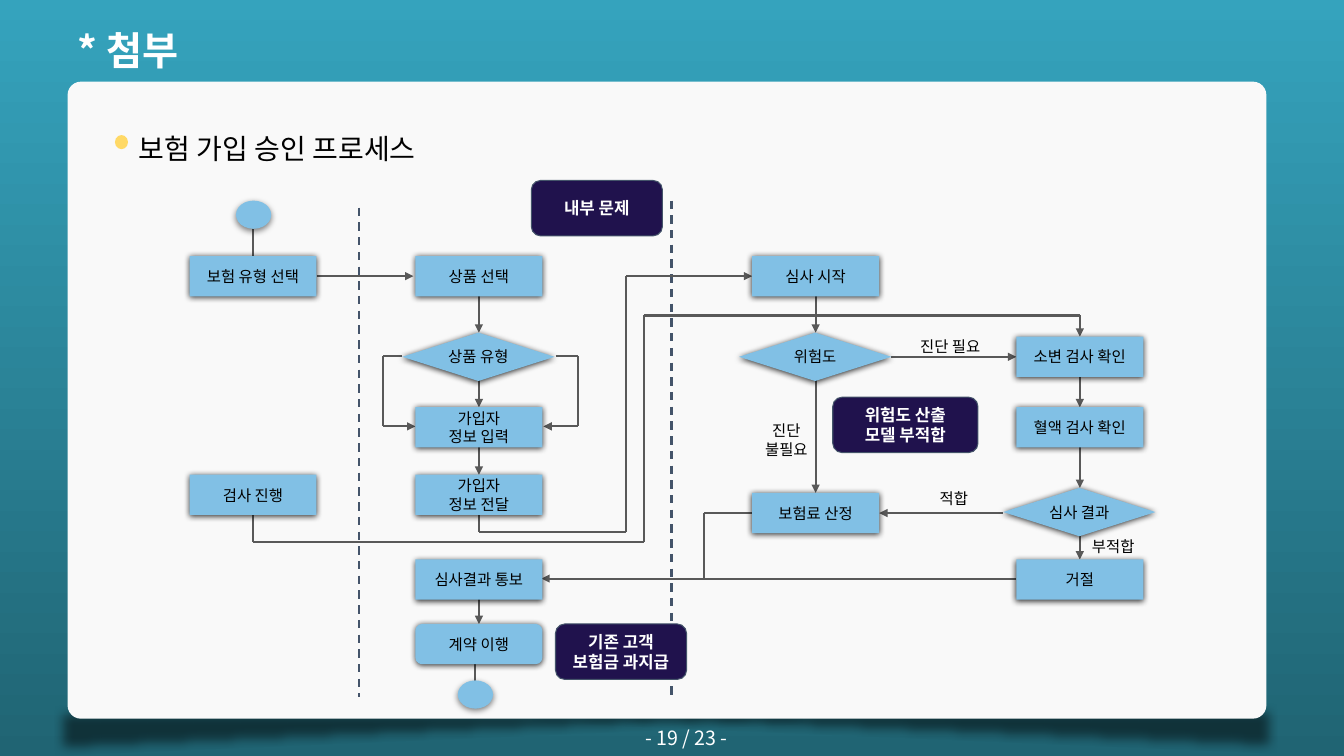
import pptx
import pptx.util
import pptx.dml.color
import pptx.enum.dml
import pptx.enum.shapes
import pptx.enum.text
import pptx.oxml
import pptx.oxml.ns
from lxml import etree

Inches = pptx.util.Inches
Pt = pptx.util.Pt
KIND = pptx.enum.shapes.MSO_SHAPE
ALIGN = pptx.enum.text.PP_ALIGN
ANCHOR = pptx.enum.text.MSO_ANCHOR
qn = pptx.oxml.ns.qn

FONT = "Noto Sans CJK KR"
HUES = {
    "top": "35A3BD", "base": "206473", "panel": "F9F9F9", "dot": "FFD966",
    "node": "81C0E5", "note": "20124D", "edge": "44546A", "wire": "595959",
    "black": "000000", "white": "FFFFFF",
}
NODE_W, NODE_H = 1.26, 0.4
COLS = [0, 2.24, 5.58, 8.2]
MIDS = [col + NODE_W / 2 for col in COLS]


def hue(name):
    return pptx.dml.color.RGBColor.from_string(HUES[name])


def put(item, text, size=11, color="black", bold=False, align=ALIGN.CENTER,
        anchor=ANCHOR.MIDDLE, pad=(0.01, 0.01), space=None):
    frame = item.text_frame
    frame.word_wrap = True
    frame.vertical_anchor = anchor
    frame.margin_left = frame.margin_right = Inches(pad[0])
    frame.margin_top = frame.margin_bottom = Inches(pad[1])
    for i, line in enumerate(text.split("\n")):
        para = frame.add_paragraph() if i else frame.paragraphs[0]
        para.text = line
        para.alignment = align
        para.line_spacing = space
        for run in para.runs:
            font = run.font
            font.size, font.bold, font.name = Pt(size), bold, FONT
            font.color.rgb = hue(color)
            etree.SubElement(font._element, qn("a:ea"), typeface=FONT)


def label(slide, text, x, y, w, h, **style):
    box = slide.shapes.add_textbox(Inches(x), Inches(y), Inches(w), Inches(h))
    put(box, text, **{"anchor": ANCHOR.TOP, "pad": (0, 0), **style})


def shape(slide, kind, x, y, w, h, fill, line=None, round=None):
    item = slide.shapes.add_shape(kind, Inches(x), Inches(y), Inches(w), Inches(h))
    item.shadow.inherit = False
    item.fill.solid()
    item.fill.fore_color.rgb = hue(fill)
    if line:
        item.line.color.rgb = hue(line)
        item.line.width = Pt(0.75)
    else:
        item.line.fill.background()
    if round is not None:
        item.adjustments[0] = round
    return item


def alpha(color, value):
    etree.SubElement(color, qn("a:alpha"), val=str(value * 1000))


def shade(item, value=80, dist=0.8):
    list_ = item._element.spPr.find(qn("a:effectLst"))
    drop = etree.SubElement(list_, qn("a:outerShdw"), blurRad=str(Pt(4.5)),
                            dist=str(Pt(dist)), dir="5400000", rotWithShape="0")
    alpha(etree.SubElement(drop, qn("a:srgbClr"), val=HUES["black"]), value)


def wire(slide, x, y, *points, color="wire", arrow=True, dash=False):
    pairs = list(zip(points, points[1:]))
    for i, (start, end) in enumerate(pairs):
        line = slide.shapes.add_connector(
            pptx.enum.shapes.MSO_CONNECTOR.STRAIGHT,
            Inches(x + start[0]), Inches(y + start[1]),
            Inches(x + end[0]), Inches(y + end[1]))
        line.line.color.rgb = hue(color)
        line.line.width = Pt(1.5)
        if dash:
            line.line.dash_style = pptx.enum.dml.MSO_LINE.DASH
        if arrow and i == len(pairs) - 1:
            etree.SubElement(line.line._get_or_add_ln(), qn("a:tailEnd"), type="triangle")
        etree.SubElement(line._element.spPr, qn("a:effectLst"))


def panel(slide, x, y, w, h):
    for left, top, flips in [(x - 0.02, y + 6.17, ("flipH", "flipV")),
                             (x - 0.13, y + 6.19, ("flipV",))]:
        item = shape(slide, KIND.RIGHT_TRIANGLE, left, top, w + 0.13, 0.5, "black")
        props = item._element.spPr
        for flip in flips:
            props.xfrm.set(flip, "1")
        alpha(props.find(qn("a:solidFill"))[0], 51)
        etree.SubElement(props.find(qn("a:effectLst")), qn("a:softEdge"), rad=str(Pt(7)))
    shape(slide, KIND.ROUNDED_RECTANGLE, x, y, w, h, "panel", round=0.021)


def heading(slide, x, y):
    label(slide, "* 첨부", x, y, 7.52, 0.57, size=28, color="white", bold=True,
          align=ALIGN.LEFT, pad=(0.1, 0.05))
    shape(slide, KIND.OVAL, x + 0.47, y + 1.13, 0.13, 0.14, "dot")
    label(slide, "보험 가입 승인 프로세스", x + 0.61, y + 0.88, 4.68, 0.57, size=20,
          align=ALIGN.LEFT, pad=(0.1, 0.05), space=1.5)


def wires(slide, x, y):
    first, second, third, fourth = MIDS
    for lane, top in [(1.68, 0.27), (4.78, 0.2)]:
        wire(slide, x, y, (lane, top), (lane, 5.12), color="edge", arrow=False, dash=True)
    for mid, top, end in [(second, 1.14, 1.51), (second, 1.97, 2.25), (second, 2.64, 2.92),
                          (second, 4.03, 4.4), (third, 1.14, 1.51), (third, 1.98, 3.1),
                          (fourth, 1.94, 2.25), (fourth, 2.64, 3.05), (fourth, 3.53, 3.76)]:
        wire(slide, x, y, (mid, top), (mid, end))
    for row, start, end in [(0.95, 1.26, 2.22), (1.75, 6.96, 8.2),
                            (3.3, 8.07, 6.84), (3.95, 8.2, 3.49)]:
        wire(slide, x, y, (start, row), (end, row))
    for start, side, end in [(2.11, 1.92, 2.24), (3.63, 3.85, 3.51)]:
        wire(slide, x, y, (start, 1.74), (side, 1.74), (side, 2.44), (end, 2.44))
    wire(slide, x, y, (second, 3.31), (second, 3.49), (4.33, 3.49), (4.33, 0.95), (5.58, 0.95))
    wire(slide, x, y, (first, 3.31), (first, 3.59), (4.51, 3.59), (4.51, 1.34),
         (fourth, 1.34), (fourth, 1.55))
    wire(slide, x, y, (5.58, 3.3), (5.1, 3.3), (5.1, 3.95), arrow=False)
    wire(slide, x, y, (first, 0.48), (first, 0.75), arrow=False)
    wire(slide, x, y, (2.83, 4.74), (2.83, 5.01), arrow=False)


def nodes(slide, x, y):
    for text, col, row in [
            ("보험 유형 선택", 0, 0.75), ("검사 진행", 0, 2.92), ("상품 선택", 1, 0.75),
            ("가입자\n정보 입력", 1, 2.25), ("가입자\n정보 전달", 1, 2.92),
            ("심사결과 통보", 1, 3.76), ("계약 이행", 1, 4.4), ("심사 시작", 2, 0.75),
            ("보험료 산정", 2, 3.1), ("소변 검사 확인", 3, 1.55),
            ("혈액 검사 확인", 3, 2.25), ("거절", 3, 3.76)]:
        kind = KIND.ROUNDED_RECTANGLE if text == "계약 이행" else KIND.RECTANGLE
        item = shape(slide, kind, x + COLS[col], y + row, NODE_W, NODE_H, "node")
        shade(item)
        put(item, text)
    for text, col, row in [("상품 유형", 1, 1.51), ("위험도", 2, 1.51), ("심사 결과", 3, 3.05)]:
        item = shape(slide, KIND.FLOWCHART_DECISION, x + COLS[col] - 0.13, y + row,
                     1.51, 0.48, "node")
        shade(item)
        put(item, text)
    for left, top in [(0.46, 0.2), (2.66, 4.96)]:
        shade(shape(slide, KIND.OVAL, x + left, y + top, 0.35, 0.28, "node"), 50, 1.5)


def notes(slide, x, y):
    for text, left, top, width in [("내부 문제", 3.39, 0, 1.3),
                                   ("위험도 산출\n모델 부적합", 6.38, 2.15, 1.44),
                                   ("기존 고객\n보험금 과지급", 3.63, 4.4, 1.3)]:
        item = shape(slide, KIND.ROUNDED_RECTANGLE, x + left, y + top, width, 0.55,
                     "note", "edge", 0.167)
        put(item, text, size=12, color="white", bold=True)
    for text, left, top, width, align in [
            ("적합", 7.44, 3.06, 0.36, ALIGN.LEFT), ("부적합", 8.95, 3.54, 0.58, ALIGN.LEFT),
            ("진단 필요", 7.12, 1.55, 0.85, ALIGN.CENTER),
            ("진단\v불필요", 5.63, 2.39, 0.58, ALIGN.CENTER)]:
        label(slide, text, x + left, y + top, width, 0.18, align=align)


def flow(slide, x, y):
    wires(slide, x, y)
    nodes(slide, x, y)
    notes(slide, x, y)


def main():
    deck = pptx.Presentation()
    deck.slide_width, deck.slide_height = Inches(13.33), Inches(7.5)
    slide = deck.slides.add_slide(deck.slide_layouts[6])
    fill = slide.background.fill
    fill.gradient()
    fill.gradient_angle = 270
    for stop, name, spot in zip(fill.gradient_stops, ("top", "base"), (0, 1)):
        stop.color.rgb = hue(name)
        stop.position = spot
    panel(slide, 0.67, 0.81, 11.89, 6.32)
    heading(slide, 0.67, 0.21)
    flow(slide, 1.88, 1.79)
    label(slide, "- 19 / 23 -", 6.18, 7.2, 1.26, 0.24, size=14, color="white")
    deck.save("out.pptx")


if __name__ == "__main__":
    main()
